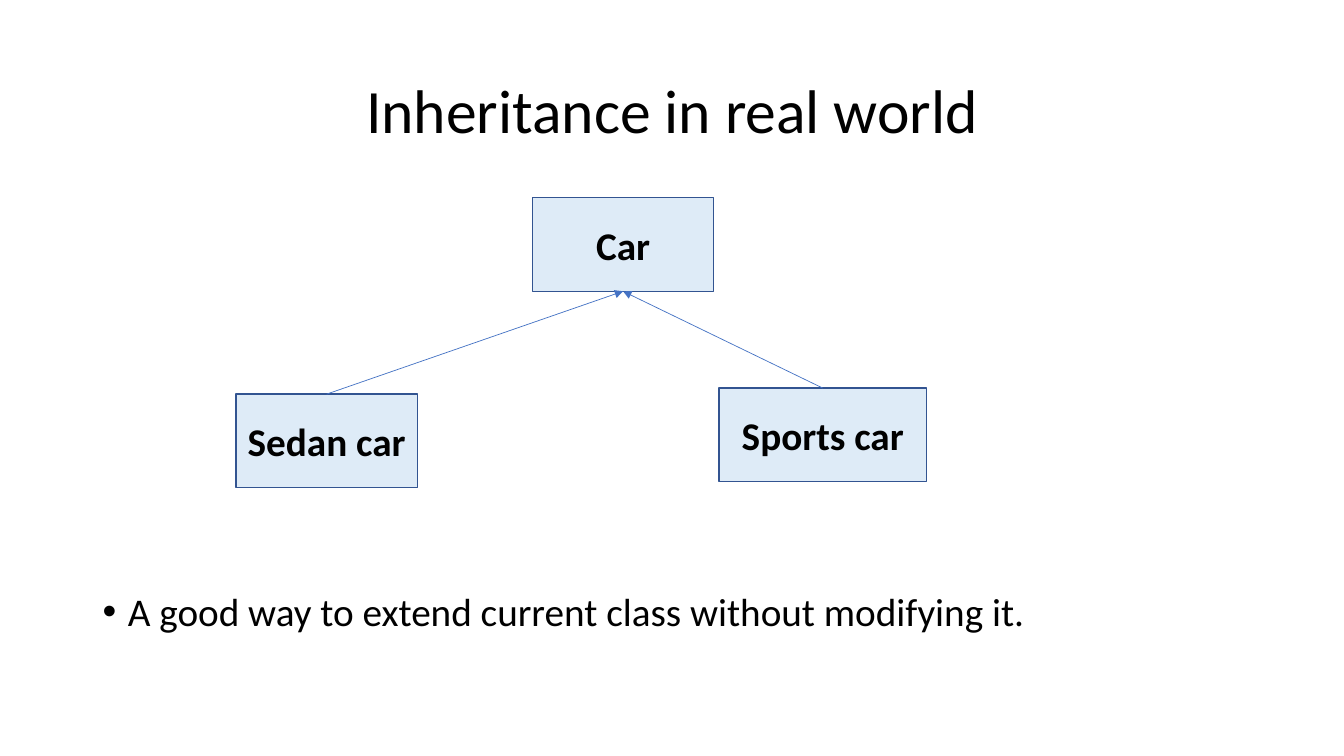
from lxml.etree import SubElement
from pptx import Presentation
from pptx.dml.color import RGBColor
from pptx.enum.shapes import MSO_CONNECTOR, MSO_SHAPE
from pptx.enum.text import MSO_ANCHOR, PP_ALIGN
from pptx.oxml.ns import qn
from pptx.util import Inches, Pt

COLORS = {
    "text": "000000",
    "box": "DEEBF7",
    "outline": "325491",
    "arrow": "4472C4",
}
FONT = "Calibri"
TOP, BOTTOM = 0, 2
BOX_HEIGHT = 0.93


def color(name):
    return RGBColor.from_string(COLORS[name])


def write(paragraph, wording, size, bold=False):
    run = paragraph.add_run()
    run.text = wording
    run.font.name = FONT
    run.font.size = Pt(size)
    run.font.bold = bold
    run.font.color.rgb = color("text")


def add_title(slide, wording):
    title = slide.shapes.title
    title.left, title.top = Inches(0.92), Inches(0.4)
    title.width, title.height = Inches(11.5), Inches(1.45)
    title.text_frame.vertical_anchor = MSO_ANCHOR.MIDDLE
    heading = title.text_frame.paragraphs[0]
    heading.alignment = PP_ALIGN.CENTER
    heading.line_spacing = 0.9
    write(heading, wording, 44)


def add_bullet(slide, wording):
    body = slide.shapes.add_textbox(
        Inches(0.92), Inches(5.83), Inches(11.5), Inches(0.93)
    )
    body.text_frame.word_wrap = True
    bullet = body.text_frame.paragraphs[0]
    bullet.line_spacing = 0.9
    bullet.space_before = Pt(10)
    properties = bullet._p.get_or_add_pPr()
    properties.set("marL", str(Inches(0.25)))
    properties.set("indent", str(Inches(-0.25)))
    SubElement(properties, qn("a:buFont"), typeface="Arial")
    SubElement(properties, qn("a:buChar"), char="•")
    write(bullet, wording, 28)


def add_class_box(slide, wording, left, top, width):
    box = slide.shapes.add_shape(
        MSO_SHAPE.RECTANGLE,
        Inches(left), Inches(top), Inches(width), Inches(BOX_HEIGHT),
    )
    box.shadow.inherit = False
    box.fill.solid()
    box.fill.fore_color.rgb = color("box")
    box.line.color.rgb = color("outline")
    box.line.width = Pt(1)
    box.text_frame.word_wrap = True
    box.text_frame.vertical_anchor = MSO_ANCHOR.MIDDLE
    label = box.text_frame.paragraphs[0]
    label.alignment = PP_ALIGN.CENTER
    write(label, wording, 28, bold=True)
    return box


def add_inheritance_arrow(slide, child, parent):
    arrow = slide.shapes.add_connector(MSO_CONNECTOR.STRAIGHT, 0, 0, 0, 0)
    arrow.begin_connect(child, TOP)
    arrow.end_connect(parent, BOTTOM)
    arrow.line.color.rgb = color("arrow")
    arrow.line.width = Pt(0.5)
    SubElement(arrow.line._get_or_add_ln(), qn("a:tailEnd"), type="triangle")
    SubElement(arrow._element.spPr, qn("a:effectLst"))


def main():
    presentation = Presentation()
    presentation.slide_width = Inches(13.33)
    presentation.slide_height = Inches(7.5)
    slide = presentation.slides.add_slide(presentation.slide_layouts[5])

    add_title(slide, "Inheritance in real world")
    add_bullet(slide, "A good way to extend current class without modifying it.")

    car = add_class_box(slide, "Car", 5.28, 1.96, 1.8)
    sedan = add_class_box(slide, "Sedan car", 2.34, 3.91, 1.8)
    sports = add_class_box(slide, "Sports car", 7.13, 3.85, 2.06)
    for child in (sports, sedan):
        add_inheritance_arrow(slide, child, car)

    presentation.save("out.pptx")


if __name__ == "__main__":
    main()
